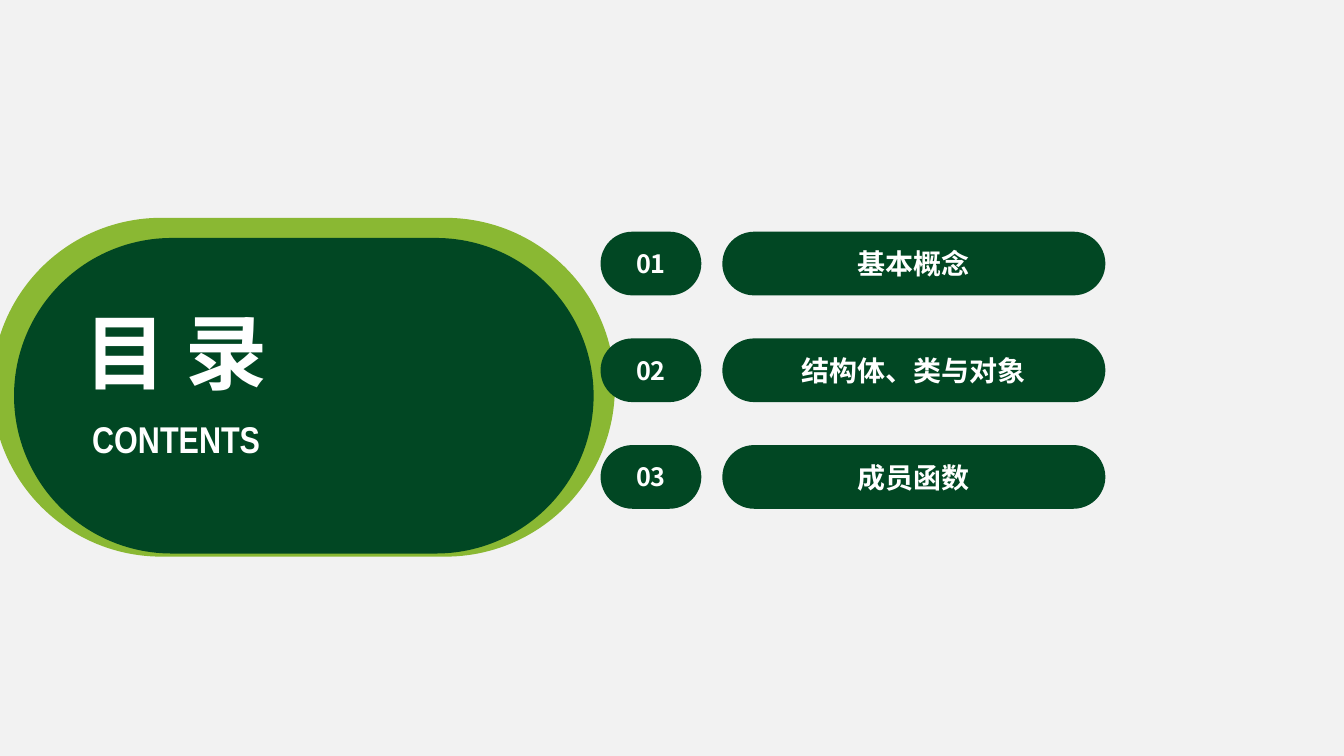
from lxml.etree import SubElement
from pptx import Presentation
from pptx.dml.color import RGBColor
from pptx.enum.shapes import MSO_SHAPE
from pptx.enum.text import MSO_ANCHOR, MSO_AUTO_SIZE, PP_ALIGN
from pptx.oxml.ns import qn
from pptx.util import Pt

PALE_GREY = RGBColor(0xF2, 0xF2, 0xF2)
LIME = RGBColor(0x8A, 0xB8, 0x33)
DARK_GREEN = RGBColor(0x01, 0x47, 0x23)
WHITE = RGBColor(0xFF, 0xFF, 0xFF)
HAN_FONT = "Noto Sans CJK SC"
LATIN_FONT = "Arial Narrow"
CHAPTERS = ["基本概念", "结构体、类与对象", "成员函数"]


def write(frame, text, size, font_name, wrap=True):
    """Put one bold, white, centred line into a text frame."""
    frame.auto_size = MSO_AUTO_SIZE.NONE
    frame.word_wrap = wrap
    frame.vertical_anchor = MSO_ANCHOR.MIDDLE
    line = frame.paragraphs[0]
    line.alignment = PP_ALIGN.CENTER
    run = line.add_run()
    run.text = text
    run.font.size = Pt(size)
    run.font.bold = True
    run.font.name = font_name
    run.font.color.rgb = WHITE
    # East Asian glyphs take their font from a separate element
    SubElement(run.font._element, qn("a:ea"), typeface=font_name)


def add_pill(slide, left, top, width, height, color):
    pill = slide.shapes.add_shape(
        MSO_SHAPE.ROUNDED_RECTANGLE, Pt(left), Pt(top), Pt(width), Pt(height))
    pill.adjustments[0] = 0.5
    pill.shadow.inherit = False
    pill.fill.solid()
    pill.fill.fore_color.rgb = color
    pill.line.fill.background()
    return pill


def add_heading_panel(slide, left, top, width, height):
    # Lime rim with the dark panel inside it
    add_pill(slide, left, top, width, height, LIME)
    add_pill(slide, left + 15.8, top + 14.4, width - 31, height - 16.6, DARK_GREEN)

    # English subtitle
    subtitle = slide.shapes.add_textbox(
        Pt(left + 50.4), Pt(top + 138.2), Pt(162.7), Pt(39.6))
    write(subtitle.text_frame, "CONTENTS", 26.6, LATIN_FONT, wrap=False)

    # Title, brought in front of the panel
    title = slide.shapes.title
    title.left, title.top = Pt(left + 56.2), Pt(top + 55.4)
    title.width, title.height = Pt(150.5), Pt(78.5)
    write(title.text_frame, "目 录", 58.6, HAN_FONT, wrap=False)
    title.element.getparent().append(title.element)


def add_chapter_list(slide, left, top, width, height):
    row_height, number_width, gap = 45.5, 72, 15
    pitch = (height - row_height) / (len(CHAPTERS) - 1)
    name_left = left + number_width + gap
    for index, chapter in enumerate(CHAPTERS):
        row_top = top + index * pitch
        number = add_pill(slide, left, row_top, number_width, row_height, DARK_GREEN)
        write(number.text_frame, f"{index + 1:02d}", 18, HAN_FONT)
        name = add_pill(slide, name_left, row_top, left + width - name_left,
                        row_height, DARK_GREEN)
        write(name.text_frame, chapter, 20, HAN_FONT)


def add_contents_slide(deck):
    slide = deck.slides.add_slide(deck.slide_layouts[5])
    slide.background.fill.solid()
    slide.background.fill.fore_color.rgb = PALE_GREY
    add_heading_panel(slide, -5.8, 155.6, 445, 242)
    add_chapter_list(slide, 429, 165.5, 360.6, 197.9)


def main():
    deck = Presentation()
    deck.slide_width, deck.slide_height = Pt(960), Pt(540)
    add_contents_slide(deck)
    deck.save("out.pptx")


if __name__ == "__main__":
    main()
